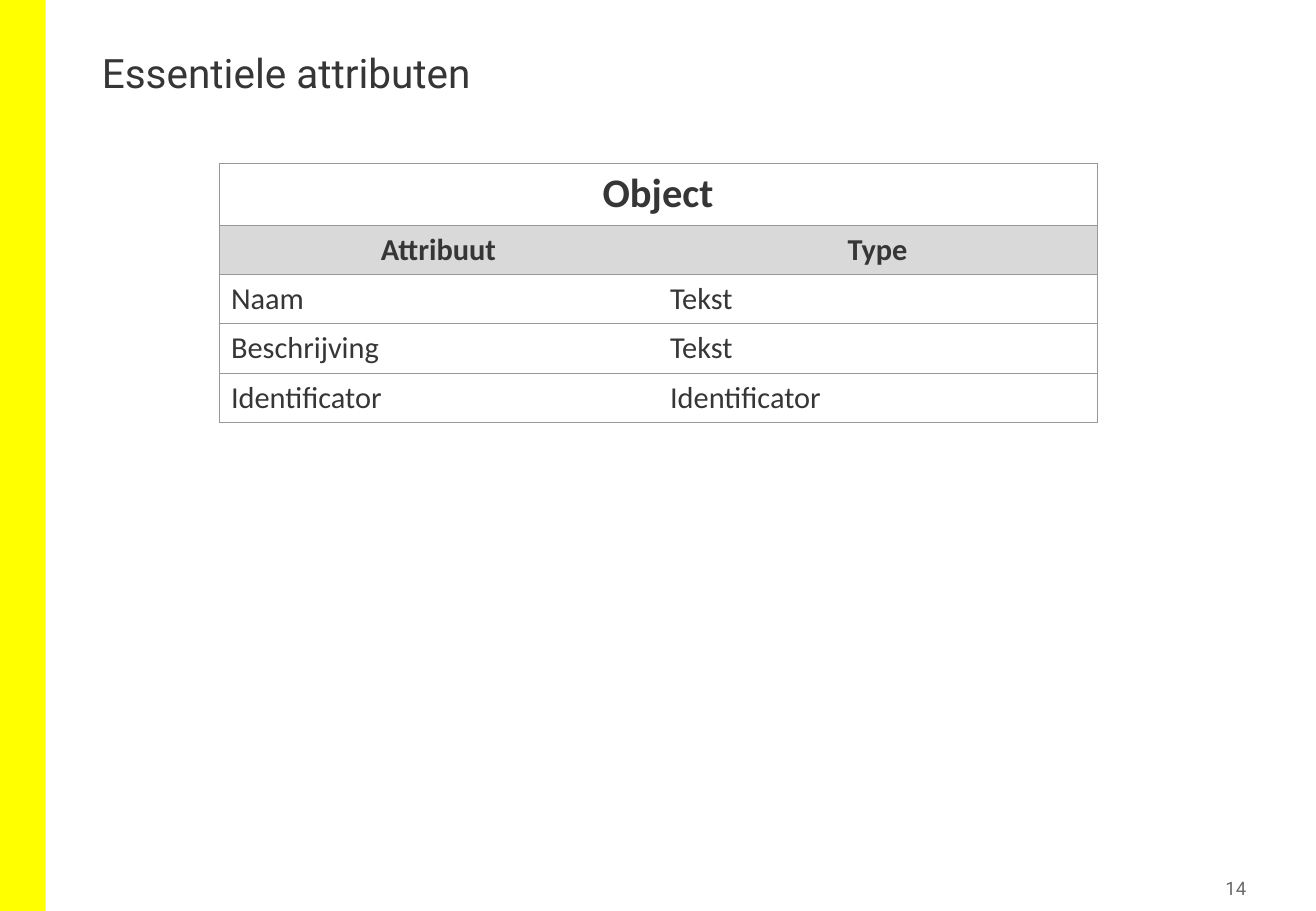
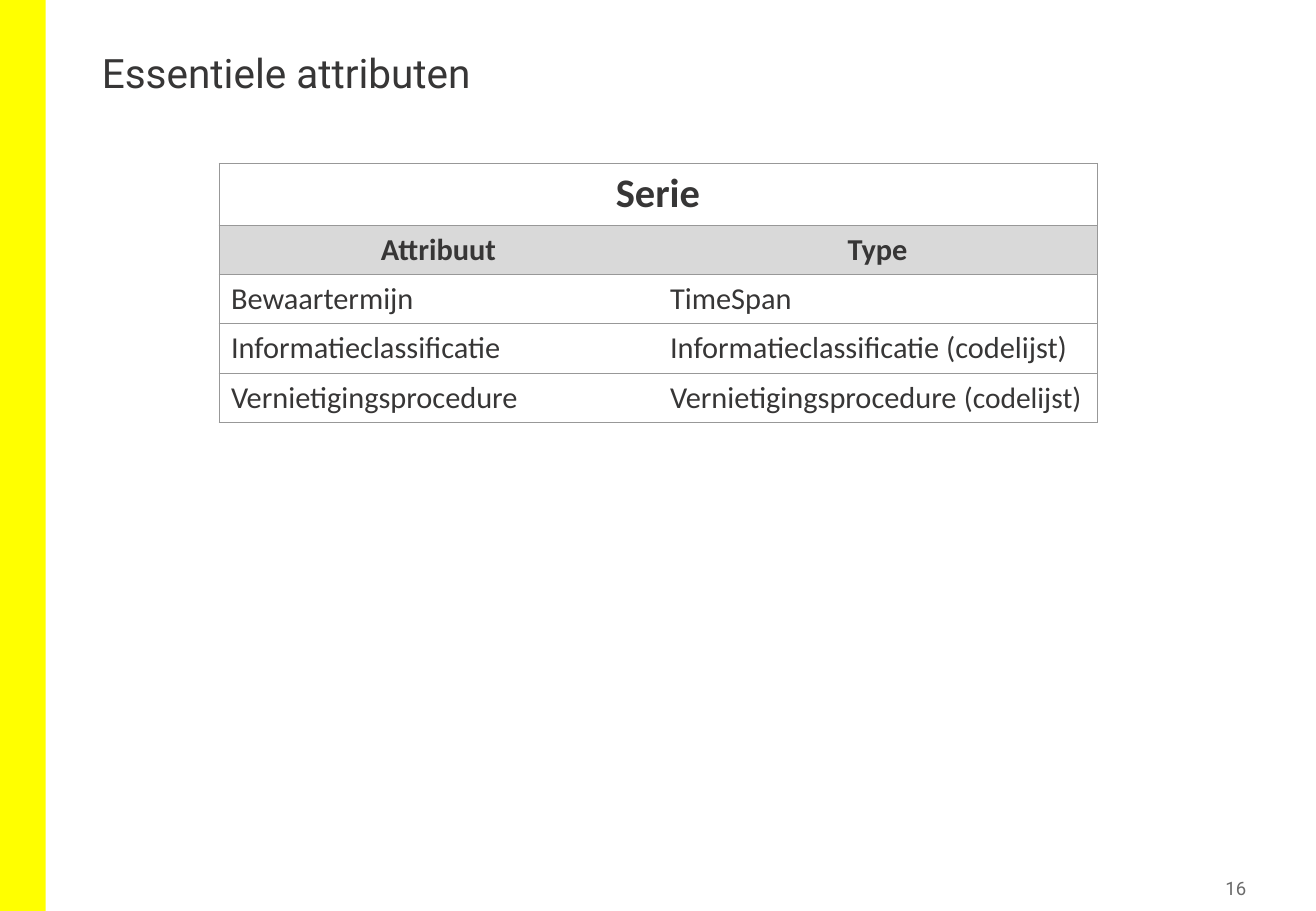
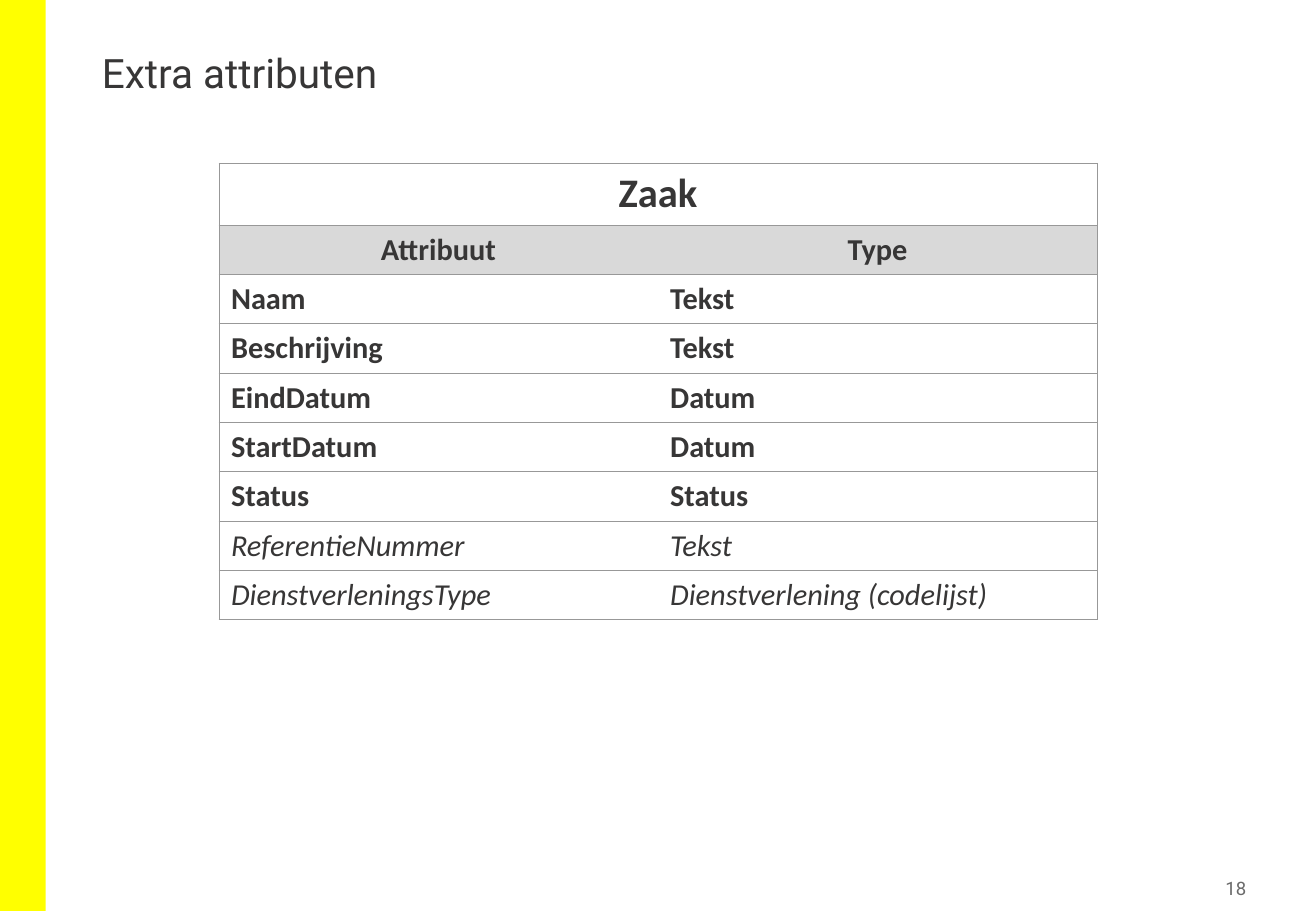
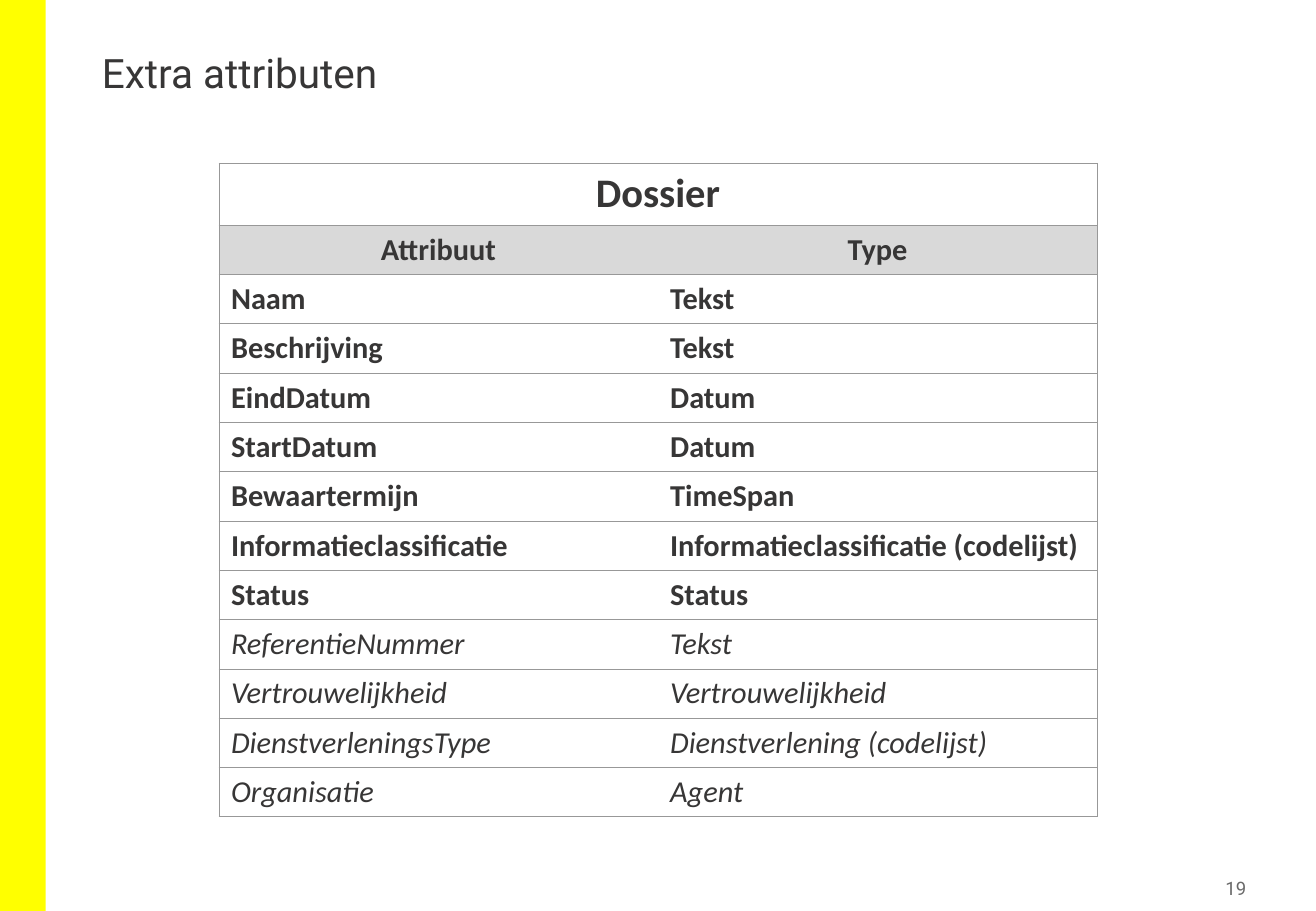
from lxml.etree import SubElement
from pptx import Presentation
from pptx.dml.color import RGBColor
from pptx.enum.shapes import MSO_SHAPE
from pptx.enum.text import MSO_ANCHOR, PP_ALIGN
from pptx.oxml.ns import qn
from pptx.util import Emu, Pt

PX = 9525  # EMU per px, 96 px to the inch
WIDTH, HEIGHT = 1040, 720
COLORS = {
    "band": "FFFF00",
    "text": "373636",
    "number": "6B6B6B",
    "border": "989898",
    "header": "D9D9D9",
    "white": "FFFFFF",
}
HEADING_FONT, TABLE_FONT = "Roboto", "Calibri"


def px(length):
    return Emu(length * PX)


def color(name):
    return RGBColor.from_string(COLORS[name])


def write(frame, text, font=TABLE_FONT, size=18, ink="text", bold=False,
          italic=False, align=PP_ALIGN.LEFT, spacing=None):
    """Write a string, or a list of (string, size) spans, as one paragraph."""
    para = frame.paragraphs[0]
    para.alignment = align
    if spacing:
        para.line_spacing = spacing
    spans = [(text, size)] if isinstance(text, str) else text
    for content, points in spans:
        span = para.add_run()
        span.text = content
        span.font.name = font
        span.font.size = Pt(points)
        span.font.bold = bold
        span.font.italic = italic
        span.font.color.rgb = color(ink)


class Deck:
    ROW, NAME_ROW, COLUMN = 39, 49, 347

    def __init__(self):
        self.deck = Presentation()
        self.deck.slide_width, self.deck.slide_height = px(WIDTH), px(HEIGHT)
        self.page = None

    def add_page(self, title, number):
        self.page = self.deck.slides.add_slide(self.deck.slide_layouts[6])
        self.band(0, 0, 36, HEIGHT)
        self.text(71, 38, 434, 104, title, font=HEADING_FONT, size=24,
                  spacing=0.9)
        self.text(912, 688, 78, 28, str(number), inset=5,
                  anchor=MSO_ANCHOR.MIDDLE, font=HEADING_FONT, size=11,
                  ink="number", align=PP_ALIGN.RIGHT)

    def band(self, left, top, width, height):
        band = self.page.shapes.add_shape(
            MSO_SHAPE.RECTANGLE, px(left), px(top), px(width), px(height))
        band.shadow.inherit = False
        band.fill.solid()
        band.fill.fore_color.rgb = color("band")
        band.line.fill.background()

    def text(self, left, top, width, height, text, inset=None,
             anchor=MSO_ANCHOR.TOP, **style):
        box = self.page.shapes.add_textbox(
            px(left), px(top), px(width), px(height))
        frame = box.text_frame
        frame.word_wrap = True
        frame.vertical_anchor = anchor
        if inset is not None:
            frame.margin_left = frame.margin_right = px(inset)
            frame.margin_top = frame.margin_bottom = px(inset)
        write(frame, text, **style)

    def cell(self, cell, text, sides, fill="white", **style):
        """Fill a table cell; only the given sides get a visible border."""
        properties = cell._tc.get_or_add_tcPr()
        for side in "LRTB":
            line = SubElement(properties, qn(f"a:ln{side}"), w=str(Pt(0.5)))
            if side in sides:
                solid = SubElement(line, qn("a:solidFill"))
                SubElement(solid, qn("a:srgbClr"), val=COLORS["border"])
            else:
                SubElement(line, qn("a:noFill"))
        cell.fill.solid()
        cell.fill.fore_color.rgb = color(fill)
        write(cell.text_frame, text, **style)

    def table(self, left, top, name, groups):
        """Draw a name row, a header row and groups of (style, rows)."""
        centred = {"bold": True, "align": PP_ALIGN.CENTER}
        lines = [({**centred, "fill": "header"}, ("Attribuut", "Type"))]
        lines += [(style, row) for style, rows in groups for row in rows]
        height = self.NAME_ROW + self.ROW * len(lines)
        table = self.page.shapes.add_table(
            len(lines) + 1, 2, px(left), px(top),
            px(2 * self.COLUMN), px(height)).table
        table.first_row = table.horz_banding = False
        for column in table.columns:
            column.width = px(self.COLUMN)
        for index, row in enumerate(table.rows):
            row.height = px(self.ROW if index else self.NAME_ROW)

        # Name row across both columns
        table.cell(0, 0).merge(table.cell(0, 1))
        self.cell(table.cell(0, 0), name, "LRTB", size=24, **centred)

        # Header and attributes
        for index, (style, row) in enumerate(lines, start=1):
            for column, (text, sides) in enumerate(zip(row, ("LTB", "RTB"))):
                self.cell(table.cell(index, column), text, sides, **style)


PLAIN, BOLD, ITALIC = {}, {"bold": True}, {"italic": True}

# Attributes used by more than one table
NAMING = [("Naam", "Tekst"), ("Beschrijving", "Tekst")]
DATES = [("EindDatum", "Datum"), ("StartDatum", "Datum")]
RETENTION = [
    ("Bewaartermijn", "TimeSpan"),
    ("Informatieclassificatie", "Informatieclassificatie (codelijst)"),
]
STATUS = [("Status", "Status")]
REFERENCE = [("ReferentieNummer", "Tekst")]
SERVICE = [("DienstverleningsType", "Dienstverlening (codelijst)")]

# Title, page number, table name, attribute groups
PAGES = [
    ("Essentiele attributen", 14, "Object", [
        (PLAIN, NAMING + [("Identificator", "Identificator")]),
    ]),
    ("Essentiele attributen", 16, "Serie", [
        (PLAIN, RETENTION + [
            ("Vernietigingsprocedure",
             [("Vernietigingsprocedure ", 18), ("(codelijst)", 17.5)]),
        ]),
    ]),
    ("Extra attributen", 18, "Zaak", [
        (BOLD, NAMING + DATES + STATUS),
        (ITALIC, REFERENCE + SERVICE),
    ]),
    ("Extra attributen", 19, "Dossier", [
        (BOLD, NAMING + DATES + RETENTION + STATUS),
        (ITALIC, REFERENCE + [("Vertrouwelijkheid", "Vertrouwelijkheid")]
         + SERVICE + [("Organisatie", "Agent")]),
    ]),
]


def main():
    deck = Deck()
    for title, number, name, groups in PAGES:
        deck.add_page(title, number)
        deck.table(173, 129, name, groups)
    deck.deck.save("out.pptx")


if __name__ == "__main__":
    main()
